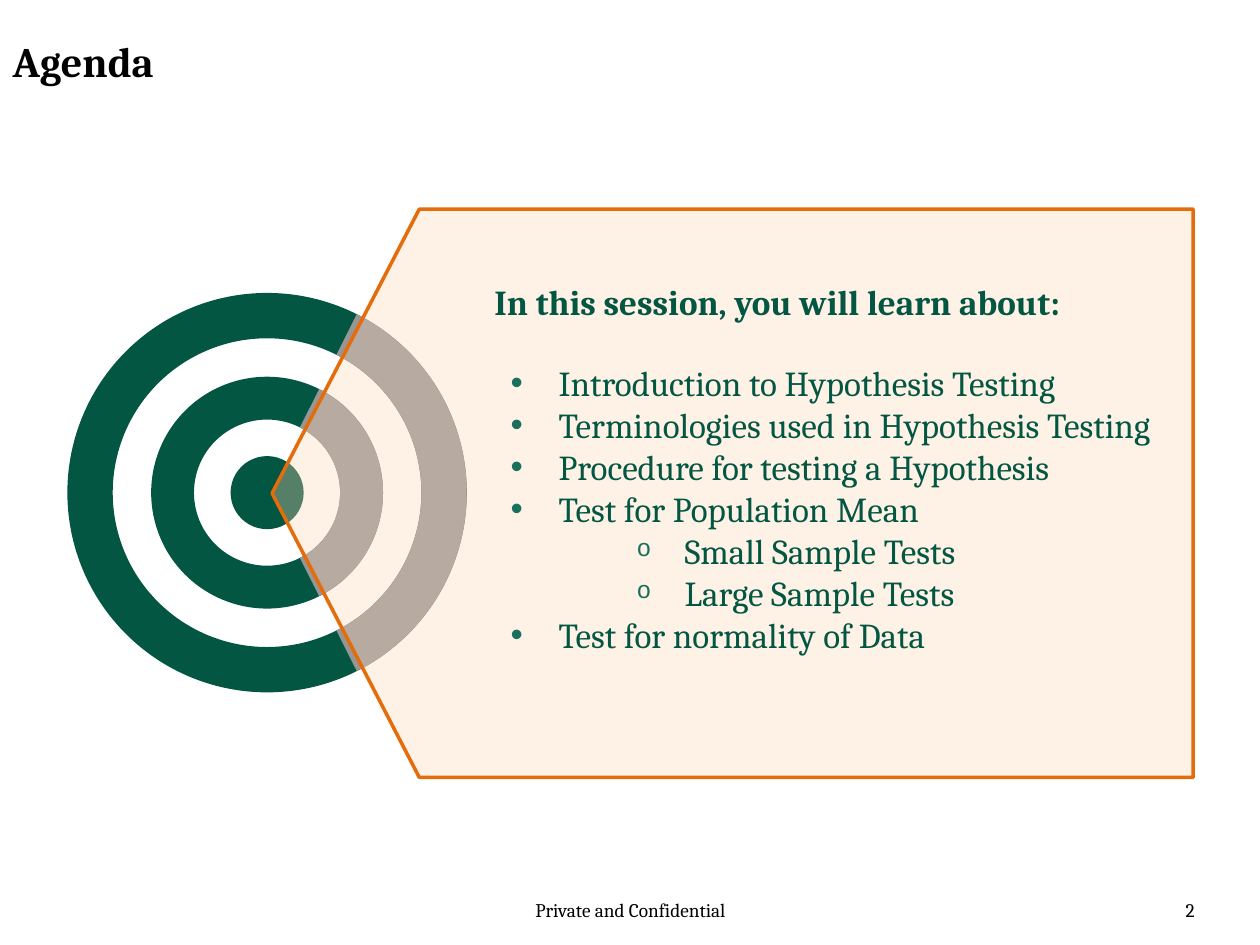
from lxml import etree
from pptx import Presentation
from pptx.dml.color import RGBColor
from pptx.enum.shapes import MSO_SHAPE
from pptx.enum.text import MSO_ANCHOR, PP_ALIGN
from pptx.oxml.ns import qn
from pptx.util import Inches, Pt

LEFT, CENTER, RIGHT, JUSTIFY = PP_ALIGN.LEFT, PP_ALIGN.CENTER, PP_ALIGN.RIGHT, PP_ALIGN.JUSTIFY
MIDDLE = MSO_ANCHOR.MIDDLE
OVAL, DONUT, ARC, PLATE = MSO_SHAPE.OVAL, MSO_SHAPE.DONUT, MSO_SHAPE.BLOCK_ARC, MSO_SHAPE.PENTAGON

TITLE = "Agenda"
FOOTERS = [
    ("Private and Confidential", (3.42, 7.02, 3.17, 0.4), CENTER),
    ("2", (7.25, 7.02, 2.33, 0.4), RIGHT),
]
HEADING = "In this session, you will learn about:"
TOPICS = [
    ("Introduction to Hypothesis Testing", 0),
    ("Terminologies used in Hypothesis Testing", 0),
    ("Procedure for testing a Hypothesis", 0),
    ("Test for Population Mean", 0),
    ("Small Sample Tests", 1),
    ("Large Sample Tests", 1),
    ("Test for normality of Data", 0),
]
BULLETS = [("•", "Arial", 100), ("o", "Courier New", 70)]
GREEN, GREY, ORANGE, PEACH, BULLET_GREEN, BLACK = "035642", "969696", "E46C0A", "FCD5B5", "19705D", "000000"
TARGET_CENTER = (2.12, 3.91)
RINGS = [(1.84, 0.34), (3.17, 0.36)]
SECTOR_ANGLE = 63.3
UNITS_PER_DEGREE = 0.6
TITLE_FORMAT = {"name": "Cambria", "size": Pt(24), "bold": True}
FOOTER_FORMAT = {"name": "Cambria", "size": Pt(11), "bold": False}
HEADING_FORMAT = {"name": "Cambria", "size": Pt(20), "bold": True}
TOPIC_FORMAT = {"name": "Cambria", "size": Pt(20), "bold": False}


def color(value):
    return RGBColor.from_string(value)


def write(paragraph, text, values, hex_color, alignment):
    paragraph.alignment = alignment
    run = paragraph.add_run()
    run.text = text
    for name, value in values.items():
        setattr(run.font, name, value)
    run.font.color.rgb = color(hex_color)


def add_filled(slide, kind, box, fill, adjustments=()):
    shape = slide.shapes.add_shape(kind, *map(Inches, box))
    shape.shadow.inherit = False
    shape.fill.solid()
    shape.fill.fore_color.rgb = color(fill)
    shape.line.fill.background()
    for index, value in enumerate(adjustments):
        shape.adjustments[index] = value
    return shape


def centered_box(diameter):
    return [center - diameter / 2 for center in TARGET_CENTER] + [diameter] * 2


def add_target(slide):
    add_filled(slide, OVAL, centered_box(0.58), GREEN)
    for diameter, thickness in RINGS:
        add_filled(slide, DONUT, centered_box(diameter), GREEN, [thickness / diameter])
    for diameter, thickness in RINGS:
        angles = [angle * UNITS_PER_DEGREE for angle in (360 - SECTOR_ANGLE, SECTOR_ANGLE)]
        add_filled(slide, ARC, centered_box(diameter), GREY, angles + [thickness / diameter])


def add_bullet(paragraph, level):
    character, typeface, percent = BULLETS[level]
    properties = paragraph._p.get_or_add_pPr()
    properties.set("marL", str(Inches(0.51 + level)))
    properties.set("indent", str(Inches(-0.38)))
    marker_color = etree.SubElement(properties, qn("a:buClr"))
    etree.SubElement(marker_color, qn("a:srgbClr"), val=BULLET_GREEN)
    etree.SubElement(properties, qn("a:buSzPct"), val=str(percent * 1000))
    etree.SubElement(properties, qn("a:buFont"), typeface=typeface)
    etree.SubElement(properties, qn("a:buChar"), char=character)


def add_agenda(slide):
    plate = add_filled(slide, PLATE, (2.16, 1.66, 7.31, 4.51), PEACH, [0.259])
    plate._element.spPr.find(qn("a:xfrm")).set("flipH", "1")
    fill_color = plate._element.spPr.find(qn("a:solidFill"))[0]
    etree.SubElement(fill_color, qn("a:alpha"), val="33000")
    plate.line.color.rgb = color(ORANGE)
    plate.line.width = Pt(2)
    frame = plate.text_frame
    frame.word_wrap = True
    frame.vertical_anchor = MIDDLE
    frame.margin_left, frame.margin_right = Inches(1.18), Inches(0.08)
    frame.margin_top, frame.margin_bottom = 0, Inches(0.37)
    heading = frame.paragraphs[0]
    write(heading, HEADING, HEADING_FORMAT, GREEN, LEFT)
    heading.line_spacing = 0.9
    heading.space_after = Pt(22)
    for text, level in TOPICS:
        paragraph = frame.add_paragraph()
        paragraph.level = level
        add_bullet(paragraph, level)
        write(paragraph, text, TOPIC_FORMAT, GREEN, JUSTIFY)


def add_footers(slide):
    for text, box, alignment in FOOTERS:
        frame = slide.shapes.add_textbox(*map(Inches, box)).text_frame
        frame.word_wrap = True
        frame.vertical_anchor = MIDDLE
        write(frame.paragraphs[0], text, FOOTER_FORMAT, BLACK, alignment)


def add_title(slide):
    title = slide.shapes.title
    title.left, title.top, title.width, title.height = map(Inches, (0, 0.17, 7.59, 0.62))
    title.text_frame.vertical_anchor = MIDDLE
    write(title.text_frame.paragraphs[0], TITLE, TITLE_FORMAT, BLACK, LEFT)


def main():
    """Build the agenda slide with its target and topic panel."""
    presentation = Presentation()
    presentation.slide_width, presentation.slide_height = Inches(10), Inches(7.5)
    slide = presentation.slides.add_slide(presentation.slide_layouts[5])
    add_footers(slide)
    add_title(slide)
    add_target(slide)
    add_agenda(slide)
    presentation.save("out.pptx")


if __name__ == "__main__":
    main()
